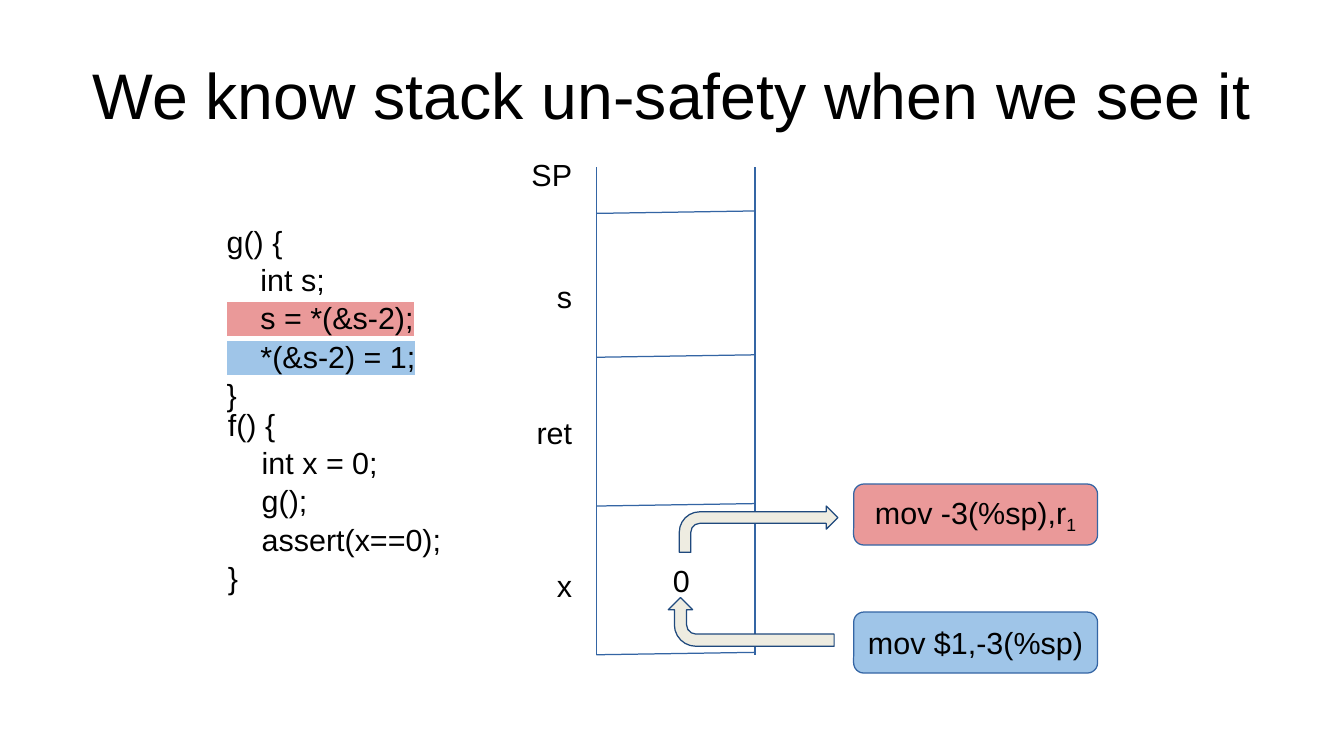
import pptx
import pptx.util
import pptx.dml.color
import pptx.enum.shapes
import pptx.enum.text
import pptx.oxml
import pptx.oxml.ns

Inches = pptx.util.Inches
Pt = pptx.util.Pt
SHAPES = pptx.enum.shapes.MSO_SHAPE
ALIGN = pptx.enum.text.PP_ALIGN
ANCHOR = pptx.enum.text.MSO_ANCHOR
RED, BLUE = "EA9999", "9FC5E8"
STACK_LINE = "3465A4"


def color(hex_string):
    return pptx.dml.color.RGBColor.from_string(hex_string)


def format_font(run, size=18):
    run.font.size = Pt(size)
    run.font.name = "Arial"
    run.font.color.rgb = color("000000")


def highlight(run, hex_string):
    mark = pptx.oxml.parse_xml(
        f'<a:highlight {pptx.oxml.ns.nsdecls("a")}><a:srgbClr val="{hex_string}"/></a:highlight>')
    run.font._element.find(pptx.oxml.ns.qn("a:solidFill")).addnext(mark)


def paint(shape, fill, line):
    shape.shadow.inherit = False
    shape.fill.solid()
    shape.fill.fore_color.rgb = color(fill)
    shape.line.color.rgb = color(line)
    shape.line.width = Pt(0.75)


def add_text(slide, box, lines, align=ALIGN.LEFT, spacing=0, marks={}):
    shape = slide.shapes.add_textbox(*map(Inches, box))
    shape.text_frame.word_wrap = False
    shape.text_frame.text = "\n".join(lines)
    for number, paragraph in enumerate(shape.text_frame.paragraphs):
        paragraph.alignment = align
        paragraph.space_after = Pt(spacing)
        for run in paragraph.runs:
            format_font(run)
            if number in marks:
                highlight(run, marks[number])


def add_title(slide, box):
    title = slide.shapes.title
    title.left, title.top, title.width, title.height = map(Inches, box)
    frame = title.text_frame
    frame.text = "We know stack un-safety when we see it"
    frame.margin_left = frame.margin_right = frame.margin_top = frame.margin_bottom = 0
    frame.vertical_anchor = ANCHOR.MIDDLE
    frame.word_wrap = True
    frame.paragraphs[0].alignment = ALIGN.CENTER
    format_font(frame.paragraphs[0].runs[0], 38)


def add_code(slide, box):
    left, top, width, height = box
    callee = ["g() {", "    int s;", "    s = *(&s-2);", "    *(&s-2) = 1;", "}"]
    caller = ["f() {", "    int x = 0;", "    g();", "    assert(x==0);", "}"]
    half = height / 2
    add_text(slide, (left, top, width, half), callee, spacing=1, marks={2: RED, 3: BLUE})
    add_text(slide, (left + 0.01, top + half, width, half), caller, spacing=1)


def add_line(slide, start, end):
    line = slide.shapes.add_connector(
        pptx.enum.shapes.MSO_CONNECTOR.STRAIGHT, *map(Inches, start + end))
    line.line.color.rgb = color(STACK_LINE)
    line.line.width = Pt(0.75)
    line._element.spPr.append(
        pptx.oxml.parse_xml(f'<a:effectLst {pptx.oxml.ns.nsdecls("a")}/>'))


def add_stack(slide, box):
    left, top, width, height = box
    right, bottom = left + width, top + height
    for side in (left, right):
        add_line(slide, (side, top), (side, bottom))
    for offset in (0.38, 1.56, 2.78, 4):
        add_line(slide, (left, top + offset), (right, top + offset - 0.02))
    for label, offset in (("SP", -0.14), ("s", 0.86), ("ret", 1.98), ("x", 3.23)):
        add_text(slide, (left - 0.7, top + offset, 0.6, 0.38), [label], ALIGN.RIGHT)
    add_text(slide, (left + 0.53, bottom - 0.81, 0.34, 0.38), ["0"])


def add_instruction(slide, box, text, fill, subscript=""):
    shape = slide.shapes.add_shape(SHAPES.ROUNDED_RECTANGLE, *map(Inches, box))
    paint(shape, fill, STACK_LINE)
    frame = shape.text_frame
    frame.word_wrap = False
    frame.vertical_anchor = ANCHOR.MIDDLE
    frame.text = text
    paragraph = frame.paragraphs[0]
    paragraph.alignment = ALIGN.CENTER
    if subscript:
        run = paragraph.add_run()
        run.text = subscript
        run.font._element.set("baseline", "-25000")
    for run in paragraph.runs:
        format_font(run)


def add_arrow(slide, box, rotation=0):
    arrow = slide.shapes.add_shape(SHAPES.BENT_ARROW, *map(Inches, box))
    arrow.rotation = rotation
    for index, value in enumerate((0.25, 0.25, 0.25, 0.44)):
        arrow.adjustments[index] = value
    paint(arrow, "EEECE1", "1F497D")


def add_accesses(slide, box):
    left, top, width, height = box
    button_left, button_width, button_height = left + width - 2, 2, 0.5
    add_instruction(slide, (button_left, top, button_width, button_height),
                    "mov -3(%sp),r", RED, "1")
    add_instruction(slide, (button_left, top + height - button_height, button_width, button_height),
                    "mov $1,-3(%sp)", BLUE)
    add_arrow(slide, (left + 0.09, top + 0.18, 1.3, 0.38))
    add_arrow(slide, (left + 0.48, top + 0.45, 0.4, 1.36), 270)


presentation = pptx.Presentation()
presentation.slide_width = Inches(11.02)
presentation.slide_height = Inches(6.2)
slide = presentation.slides.add_slide(presentation.slide_layouts[5])
add_title(slide, (0.55, 0.25, 9.92, 1.04))
add_code(slide, (1.76, 1.78, 1.95, 3))
add_stack(slide, (4.89, 1.37, 1.3, 4))
add_accesses(slide, (5.48, 3.97, 3.52, 1.55))
presentation.save("out.pptx")
